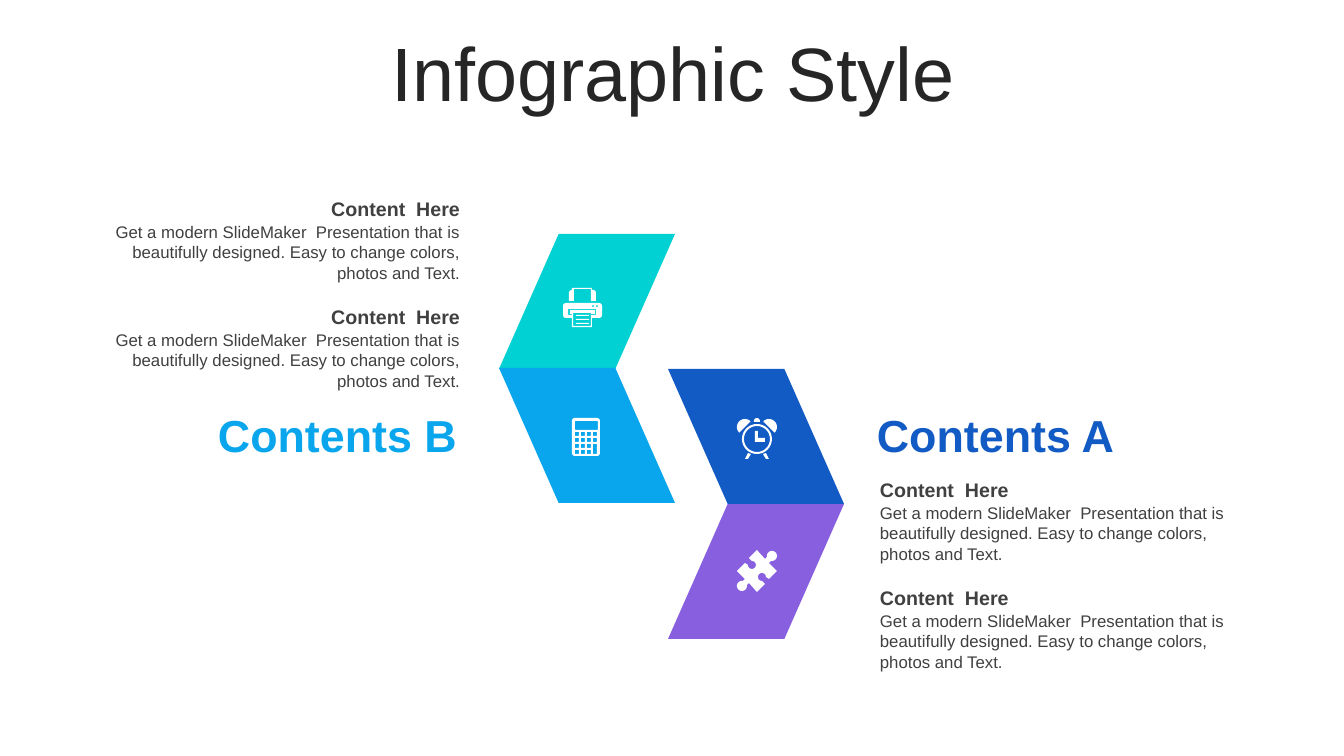
from math import cos, radians, sin

from pptx import Presentation
from pptx.dml.color import RGBColor
from pptx.enum.shapes import MSO_SHAPE as Preset
from pptx.enum.text import MSO_ANCHOR as Anchor, MSO_AUTO_SIZE as AutoSize, PP_ALIGN as Align
from pptx.util import Pt

PX = 914400 / 100.8
SLIDE_WIDTH, SLIDE_HEIGHT = 1344, 756

THEME = {
    "font": "Arial",
    "colors": {
        "title": "262626",
        "text": "404040",
        "icon": "FFFFFF",
        "teal": "01D1D3",
        "sky": "0AA6ED",
        "blue": "125AC4",
        "violet": "875FDF",
    },
    "sizes": {"title": 54, "section": 32, "heading": 14, "body": 12},
}

TITLE = "Infographic Style"
HEADING = "Content  Here"
BODY = (
    "Get a modern SlideMaker  Presentation that is beautifully designed. "
    "Easy to change colors, photos and Text."
)
SECTIONS = [
    {"name": "Contents A", "color": "blue", "align": Align.LEFT,
     "name_box": (867, 402, 312, 65), "left": 870, "width": 381, "top": 473},
    {"name": "Contents B", "color": "sky", "align": Align.RIGHT,
     "name_box": (166, 402, 301, 65), "left": 82, "width": 388, "top": 192},
]
ITEMS_PER_SECTION = 2
ITEM_PITCH, BODY_DROP, HEADING_HEIGHT, BODY_HEIGHT = 108, 25, 34, 72

PANEL_WIDTH, PANEL_HEIGHT, PANEL_SLANT = 176, 135, 0.442
PANELS = [
    (668, 504, "violet", False),
    (668, 369, "blue", True),
    (499, 234, "teal", False),
    (499, 368, "sky", True),
]


def px(length):
    return round(length * PX)


def color(name):
    return RGBColor.from_string(THEME["colors"][name])


def rect(left, top, width, height):
    right, bottom = left + width, top + height
    return [(left, top), (right, top), (right, bottom), (left, bottom)]


def arc(center_x, center_y, radius, start=0, end=360, steps=32):
    angles = [radians(start + (end - start) * step / steps) for step in range(steps + 1)]
    return [(center_x + radius * cos(a), center_y + radius * sin(a)) for a in angles]


def rounded(left, top, width, height, radius):
    right, bottom = left + width - radius, top + height - radius
    left, top = left + radius, top + radius
    corners = [(left, top, 180), (right, top, 270), (right, bottom, 0), (left, bottom, 90)]
    return [point for x, y, start in corners
            for point in arc(x, y, radius, start, start + 90, 6)]


def mirror(points, axis):
    return [(2 * axis - x, y) for x, y in points]


def clock():
    axis, middle = 757, 439
    hands = [(755, 431), (758, 431), (758, 438), (765, 438), (765, 442), (755, 442)]
    knob = [(754, 422), (754, 420), (756, 418), (758, 418), (760, 420), (760, 422)]
    leg = [(748, 453), (751, 454), (748, 459), (745, 459)]
    bell = arc(745, 427, 8, 135, 315)
    return [hands, arc(axis, middle, 13), arc(axis, middle, 15), knob,
            leg, mirror(leg, axis), bell, mirror(bell, axis)]


def calculator():
    pitch, key = 6, 4
    keys = [rect(575 + pitch * column, 432 + pitch * row, key, key)
            for row in range(4) for column in range(4) if column < 3 or row < 2]
    tall_key = rect(575 + pitch * 3, 432 + pitch * 2, key, pitch + key)
    return [rounded(572, 418, 28, 38, 3), rounded(575, 421, 23, 9, 1), tall_key, *keys]


def printer():
    print_lines = [rect(576, top, 13, 1) for top in (315, 319, 323)]
    slot = [(568, 309), (568, 315), (572, 315), (572, 314), (570, 314), (570, 310),
            (595, 310), (595, 314), (591, 314), (591, 315), (596, 315), (596, 309)]
    lights = [arc(x, 306, 1) for x in (593, 597)]
    body = [*arc(566, 306, 3, 180, 270, 6), *arc(599, 306, 3, 270, 360, 6),
            *arc(599, 315, 3, 0, 90, 6), (592, 318), (592, 327), (572, 327),
            (572, 318), *arc(566, 315, 3, 90, 180, 6)]
    feeder = [(572, 288), (592, 288), (592, 290), (594, 290), (596, 292), (596, 301),
              (591, 301), (591, 289), (574, 289), (574, 301), (569, 301), (569, 292),
              (571, 290), (572, 290)]
    return [*print_lines, rect(573, 313, 18, 13), slot, *lights, body, feeder]


def puzzle():
    center_x, center_y = 757, 571
    half = [(757, 550), (765, 559), *arc(772, 556, 5, 170, 460), (769, 563),
            (777, 571), (769, 579), *arc(762, 577, 4, 0, -270), (765, 584)]
    return [half + [(2 * center_x - x, 2 * center_y - y) for x, y in half]]


def paint(shape, color_name):
    shape.shadow.inherit = False
    shape.fill.solid()
    shape.fill.fore_color.rgb = color(color_name)
    shape.line.fill.background()


def add_text(slide, words, box, role, color_name, align, bold=False, anchor=Anchor.MIDDLE, grow=True):
    frame = slide.shapes.add_textbox(*map(px, box)).text_frame
    frame.word_wrap = True
    frame.auto_size = AutoSize.SHAPE_TO_FIT_TEXT if grow else AutoSize.NONE
    frame.vertical_anchor = anchor
    paragraph = frame.paragraphs[0]
    paragraph.alignment = align
    run = paragraph.add_run()
    run.text = words
    run.font.name = THEME["font"]
    run.font.size = Pt(THEME["sizes"][role])
    run.font.bold = bold
    run.font.color.rgb = color(color_name)
    return paragraph


def add_panel(slide, left, top, color_name, flipped):
    panel = slide.shapes.add_shape(
        Preset.PARALLELOGRAM, *map(px, (left, top, PANEL_WIDTH, PANEL_HEIGHT)))
    panel.adjustments[0] = PANEL_SLANT
    if flipped:
        panel._element.spPr.xfrm.set("flipV", "1")
    paint(panel, color_name)


def add_icon(slide, contours):
    scaled = [[(px(x), px(y)) for x, y in contour] for contour in contours]
    builder = slide.shapes.build_freeform(*scaled[0][0], scale=1.0)
    builder.add_line_segments(scaled[0][1:], close=True)
    for contour in scaled[1:]:
        builder.move_to(*contour[0])
        builder.add_line_segments(contour[1:], close=True)
    paint(builder.convert_to_shape(), "icon")


def add_section(slide, section):
    left, width, align = section["left"], section["width"], section["align"]
    for item in range(ITEMS_PER_SECTION):
        top = section["top"] + ITEM_PITCH * item
        add_text(slide, HEADING, (left, top, width, HEADING_HEIGHT),
                 "heading", "text", align, bold=True)
        add_text(slide, BODY, (left, top + BODY_DROP, width, BODY_HEIGHT),
                 "body", "text", align, anchor=Anchor.TOP)
    add_text(slide, section["name"], section["name_box"],
             "section", section["color"], align, bold=True)


def main():
    deck = Presentation()
    deck.slide_width, deck.slide_height = px(SLIDE_WIDTH), px(SLIDE_HEIGHT)
    slide = deck.slides.add_slide(deck.slide_layouts[6])
    title = add_text(slide, TITLE, (35, 37, 1276, 80), "title", "title", Align.CENTER, grow=False)
    title.line_spacing = 0.9
    for panel in PANELS:
        add_panel(slide, *panel)
    for section in SECTIONS:
        add_section(slide, section)
    for icon in (clock, calculator, printer, puzzle):
        add_icon(slide, icon())
    deck.save("out.pptx")


if __name__ == "__main__":
    main()
